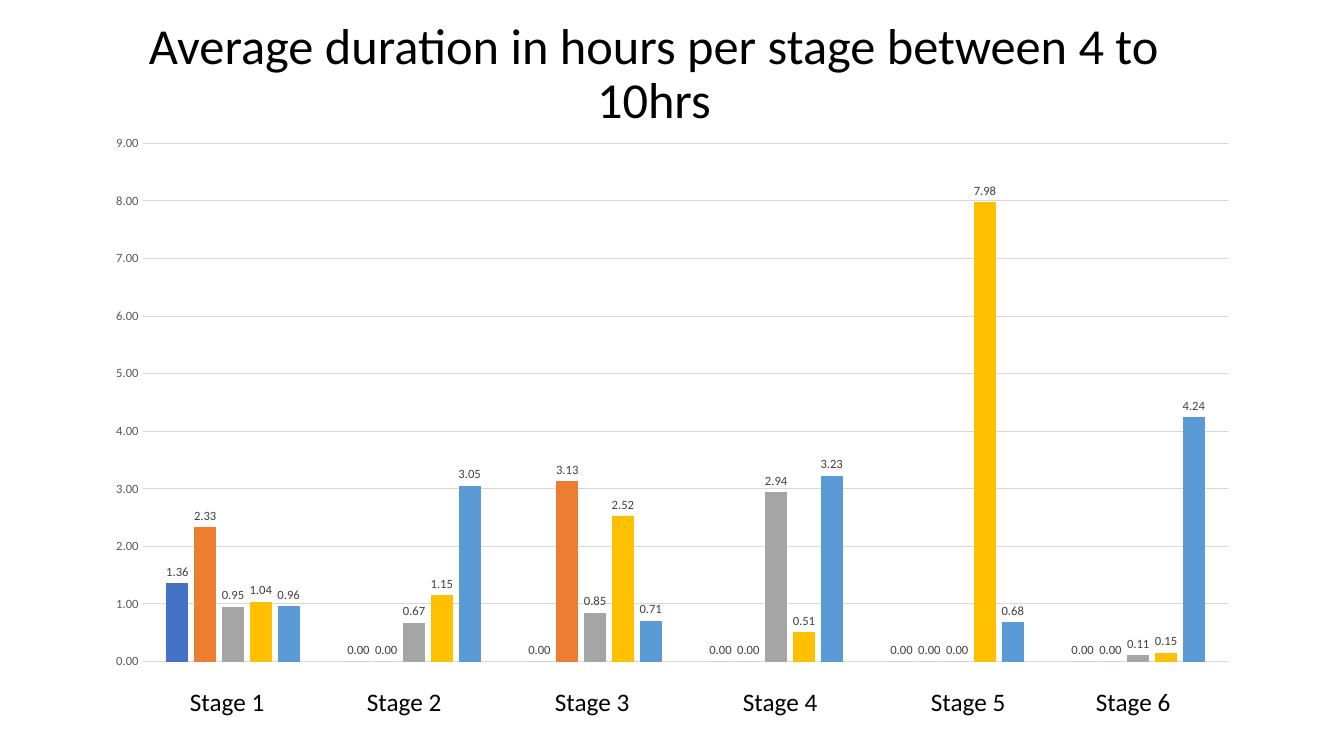
"""Build a slide with a column chart of average hours per stage."""
from lxml import etree
from pptx import Presentation
from pptx import util as u
from pptx.chart import data as chart_data
from pptx.dml.color import RGBColor
from pptx.enum import chart as charts, text
from pptx.oxml import ns

COLORS = {"text": "000000", "axis": "595959", "label": "404040", "grid": "D9D9D9",
          "blue": "4472C4", "orange": "ED7D31", "gray": "A5A5A5",
          "gold": "FFC000", "sky": "5B9BD5"}
SERIES = [("blue", [1.36, 0, 0, 0, 0, 0]),
          ("orange", [2.33, 0, 3.13, 0, 0, 0]),
          ("gray", [0.95, 0.67, 0.85, 2.94, 0, 0.11]),
          ("gold", [1.04, 1.15, 2.52, 0.51, 7.98, 0.15]),
          ("sky", [0.96, 3.05, 0.71, 3.23, 0.68, 4.24])]
STAGE_TABS = [177, 365, 553, 741, 906]


def px(*lengths):
    return [round(length * 914400 / 100.8) for length in lengths]


def style(font, size, color):
    font.name = "Calibri"
    font.size = u.Pt(size)
    font.color.rgb = RGBColor.from_string(COLORS[color])


deck = Presentation()
deck.slide_width, deck.slide_height = px(1344, 756)
page = deck.slides.add_slide(deck.slide_layouts[6])

title = page.shapes.add_textbox(*px(93, 25, 1122, 100)).text_frame
title.word_wrap = True
title.vertical_anchor = text.MSO_ANCHOR.MIDDLE
para = title.paragraphs[0]
para.text = "Average duration in hours per stage between 4 to 10hrs"
para.alignment = text.PP_ALIGN.CENTER
para.line_spacing = 0.9
style(para.font, 36, "text")

data = chart_data.CategoryChartData(number_format="0.00")
data.categories = ["1", "2", "3", "4", "5", "6"]
for number, (color, hours) in enumerate(SERIES, 1):
    data.add_series(f"Series {number}", hours)
chart = page.shapes.add_chart(charts.XL_CHART_TYPE.COLUMN_CLUSTERED,
                              *px(93, 125, 1159, 555), data).chart
chart.has_legend = False
chart.has_title = False
style(chart.font, 10, "text")
chart.category_axis.visible = False

axis = chart.value_axis
axis.major_tick_mark = charts.XL_TICK_MARK.NONE
axis.format.line.fill.background()
axis.tick_labels.number_format = "0.00"
axis.tick_labels.number_format_is_linked = False
style(axis.tick_labels.font, 9, "axis")
grid = axis.major_gridlines.format.line
grid.width = u.Pt(0.75)
grid.color.rgb = RGBColor.from_string(COLORS["grid"])

plot = chart.plots[0]
plot.gap_width = 219
plot.overlap = -27
plot.vary_by_categories = False
for series, (color, hours) in zip(plot.series, SERIES):
    series.format.fill.solid()
    series.format.fill.fore_color.rgb = RGBColor.from_string(COLORS[color])
    labels = series.data_labels
    labels.show_value = True
    labels.position = charts.XL_LABEL_POSITION.OUTSIDE_END
    labels.number_format = "0.00"
    labels.number_format_is_linked = False
    style(labels.font, 9, "label")

stages = page.shapes.add_textbox(*px(180, 681, 1046, 40)).text_frame
stages.word_wrap = True
para = stages.paragraphs[0]
para.text = "\t".join(f"Stage {number}" for number in range(1, 7))
style(para.font, 18, "text")
tabs = etree.Element(ns.qn("a:tabLst"))
for position in px(*STAGE_TABS):
    etree.SubElement(tabs, ns.qn("a:tab"), pos=str(position), algn="l")
para._p.get_or_add_pPr().insert(0, tabs)

deck.save("out.pptx")
